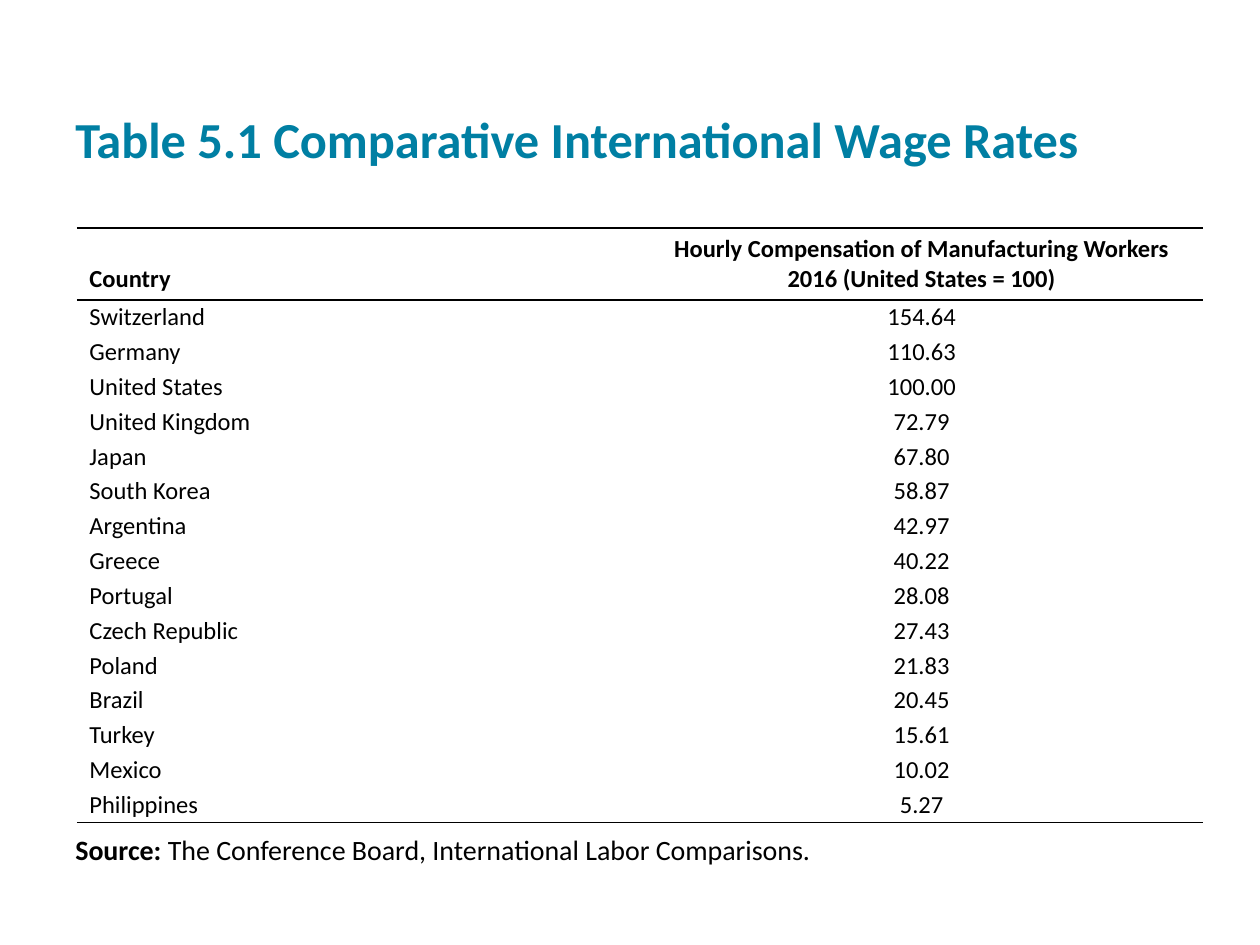
from lxml.etree import SubElement
from pptx import Presentation
from pptx.dml.color import RGBColor
from pptx.enum.text import MSO_ANCHOR as Anchor, PP_ALIGN as Align
from pptx.oxml.ns import qn
from pptx.util import Pt

TEAL = RGBColor(0x00, 0x7F, 0xA3)
BLACK = RGBColor(0x00, 0x00, 0x00)
WHITE = RGBColor(0xFF, 0xFF, 0xFF)

TITLE = "Table 5.1 Comparative International Wage Rates"
HEADINGS = ("Country", "Hourly Compensation of Manufacturing Workers 2016 (United States = 100)")
WAGES = [
    ("Switzerland", "154.64"),
    ("Germany", "110.63"),
    ("United States", "100.00"),
    ("United Kingdom", "72.79"),
    ("Japan", "67.80"),
    ("South Korea", "58.87"),
    ("Argentina", "42.97"),
    ("Greece", "40.22"),
    ("Portugal", "28.08"),
    ("Czech Republic", "27.43"),
    ("Poland", "21.83"),
    ("Brazil", "20.45"),
    ("Turkey", "15.61"),
    ("Mexico", "10.02"),
    ("Philippines", "5.27"),
]
SOURCE = ("Source: ", "The Conference Board, International Labor Comparisons.")

TITLE_FONT = {"name": "Calibri", "size": Pt(28.8), "bold": True}
HEADING_FONT = {"name": "Calibri", "size": Pt(14), "bold": True}
WAGE_FONT = {**HEADING_FONT, "bold": False}
SOURCE_FONT = {"name": "Calibri", "size": Pt(16)}

COLUMN_WIDTH = 321.84
HEADING_HEIGHT, WAGE_HEIGHT = 41.2, 19.9
HEADING_INSET, WAGE_INSET = 3.6, 1.4
SIDE_INSET = 7.2


def apply(target, values):
    for key, value in values.items():
        setattr(target, key, value)


def add_run(paragraph, text, font, color):
    run = paragraph.add_run()
    run.text = text
    apply(run.font, font)
    run.font.color.rgb = color


def add_frame(slide, left, top, width, height, layout):
    frame = slide.shapes.add_textbox(Pt(left), Pt(top), Pt(width), Pt(height)).text_frame
    apply(frame, {"word_wrap": True, "margin_left": Pt(SIDE_INSET), "margin_right": Pt(SIDE_INSET), **layout})
    return frame.paragraphs[0]


def set_rules(cell, ruled_sides):
    properties = cell._tc.get_or_add_tcPr()
    for side in "LRTB":
        rule = SubElement(properties, qn(f"a:ln{side}"), w=str(Pt(1)))
        if side in ruled_sides:
            fill = SubElement(rule, qn("a:solidFill"))
            SubElement(fill, qn("a:srgbClr"), val=str(BLACK))
        else:
            SubElement(rule, qn("a:noFill"))


def add_wage_table(slide):
    rows = [HEADINGS, *WAGES]
    height = HEADING_HEIGHT + WAGE_HEIGHT * len(WAGES)
    table = slide.shapes.add_table(
        len(rows), len(HEADINGS), Pt(43.92), Pt(130.32), Pt(COLUMN_WIDTH * len(HEADINGS)), Pt(height)
    ).table
    apply(table, {"first_row": False, "horz_banding": False})
    rules = {0: "TB", 1: "T", len(WAGES): "B"}
    for index, row in enumerate(rows):
        is_heading = index == 0
        table.rows[index].height = Pt(HEADING_HEIGHT if is_heading else WAGE_HEIGHT)
        inset = Pt(HEADING_INSET if is_heading else WAGE_INSET)
        for column, text in enumerate(row):
            cell = table.cell(index, column)
            apply(cell, {
                "margin_left": Pt(SIDE_INSET),
                "margin_right": Pt(SIDE_INSET),
                "margin_top": inset,
                "margin_bottom": inset,
                "vertical_anchor": Anchor.BOTTOM if is_heading and column == 0 else Anchor.TOP,
            })
            set_rules(cell, rules.get(index, ""))
            cell.fill.solid()
            cell.fill.fore_color.rgb = WHITE
            paragraph = cell.text_frame.paragraphs[0]
            paragraph.alignment = Align.CENTER if column else Align.LEFT
            add_run(paragraph, text, HEADING_FONT if is_heading else WAGE_FONT, BLACK)


def main():
    deck = Presentation()
    apply(deck, {"slide_width": Pt(720), "slide_height": Pt(540)})
    slide = deck.slides.add_slide(deck.slide_layouts[6])

    title_layout = {"vertical_anchor": Anchor.BOTTOM, "margin_top": Pt(7.2), "margin_bottom": Pt(7.2)}
    title = add_frame(slide, 36, 17.28, 648, 86.4, title_layout)
    add_run(title, TITLE, TITLE_FONT, TEAL)

    add_wage_table(slide)

    source_layout = {"vertical_anchor": Anchor.TOP, "margin_top": Pt(0), "margin_bottom": Pt(3.6)}
    source = add_frame(slide, 36, 475.92, 643.68, 23.04, source_layout)
    for text, bold in zip(SOURCE, (True, False)):
        add_run(source, text, {**SOURCE_FONT, "bold": bold}, BLACK)

    deck.save("out.pptx")


if __name__ == "__main__":
    main()
